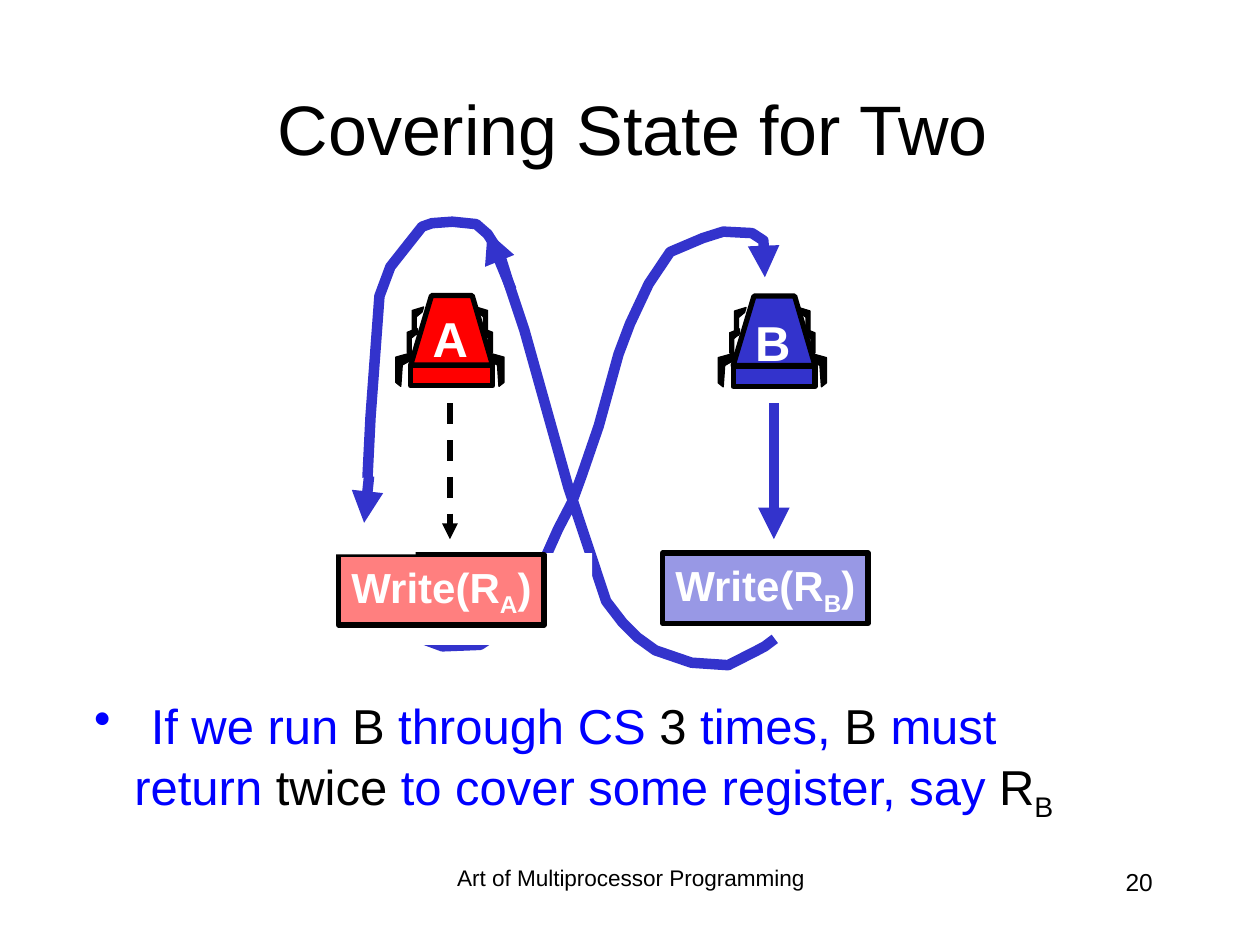
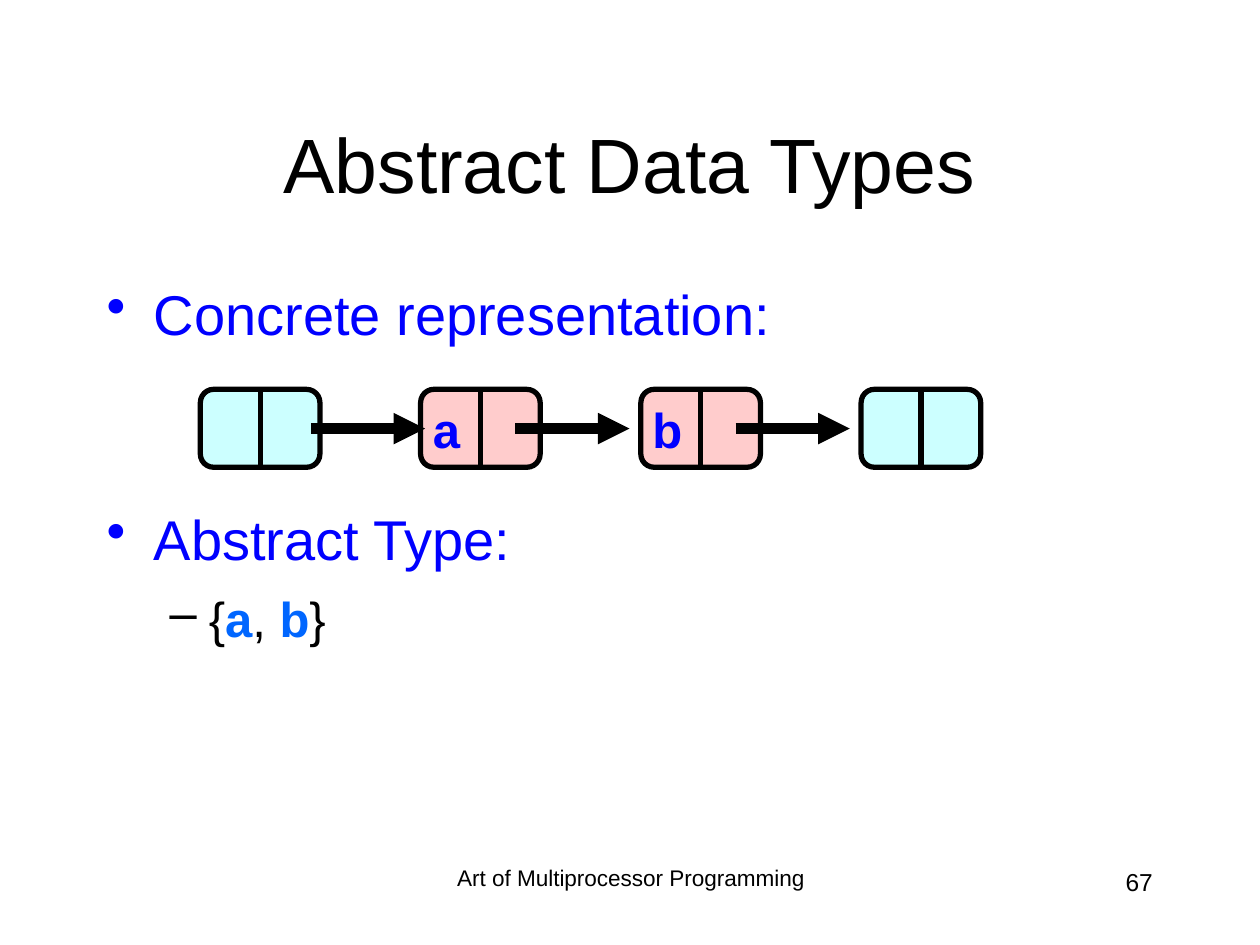
from lxml import etree
from pptx import Presentation
from pptx.dml.color import RGBColor
from pptx.enum.dml import MSO_LINE
from pptx.enum.shapes import MSO_CONNECTOR, MSO_SHAPE
from pptx.enum.text import MSO_ANCHOR, PP_ALIGN
from pptx.oxml.ns import qn
from pptx.util import Cm, Pt

RECT, ROUND_RECT = MSO_SHAPE.RECTANGLE, MSO_SHAPE.ROUNDED_RECTANGLE
STRAIGHT, DASH = MSO_CONNECTOR.STRAIGHT, MSO_LINE.DASH
LEFT, CENTER, RIGHT = PP_ALIGN.LEFT, PP_ALIGN.CENTER, PP_ALIGN.RIGHT
TOP, MIDDLE = MSO_ANCHOR.TOP, MSO_ANCHOR.MIDDLE
SIDE_TOP, SIDE_BOTTOM = 0, 2

FONT = "Arial"
COLORS = {
    "black": "000000", "white": "FFFFFF", "text": "0000FF", "accent": "0066FF",
    "blue": "3333CC", "red": "FF0000", "sentinel": "CCFFFF", "item": "FFCCCC",
}
SUBSCRIPT = {"baseline": "-25000"}
BOLD = {"b": "1"}

# Route of thread B through the critical section, in centimetres
ROUTE = [
    (15.62, 12.88), (15.42, 13.03), (15.27, 13.11), (14.68, 13.41), (13.94, 13.36),
    (13.21, 13.11), (12.85, 12.85), (12.55, 12.55), (12.22, 12.12), (11.46, 9.83),
    (10.57, 6.65), (10.26, 5.72), (10.06, 5.08), (9.83, 4.72), (9.6, 4.52),
    (9.12, 4.47), (8.71, 4.5), (8.51, 4.57), (8.13, 5.05), (7.87, 5.38),
    (7.65, 5.97), (7.47, 8.41), (7.37, 10.41), (7.39, 11.79), (7.62, 12.55),
    (8.92, 13.03), (9.68, 13), (10.13, 12.7), (10.74, 11.76), (10.87, 11.46),
    (11, 11.23), (11.25, 10.67), (11.53, 10.13), (11.73, 9.58), (12.07, 8.59),
    (12.47, 7.14), (12.7, 6.53), (13.08, 5.72), (13.51, 5.08), (14.17, 4.8),
    (14.58, 4.67), (15.16, 4.7), (15.39, 4.85), (15.42, 5.59),
]

# Thread figure, relative to the top left corner of its body
LOWER_LEG = [(1.52, 1.14), (1.88, 1.24), (1.88, 1.75), (1.78, 1.83), (1.75, 1.4), (1.52, 1.27)]
MIDDLE_LEG = [(1.45, 0.66), (1.65, 0.74), (1.65, 1.14), (1.57, 1.22), (1.57, 0.86), (1.45, 0.76)]
UPPER_LEG = [(1.32, 0.23), (1.55, 0.3), (1.55, 0.71), (1.47, 0.79), (1.47, 0.43), (1.35, 0.33)]
BODY = [(0, 1.4), (0.42, 0), (1.24, 0), (1.65, 1.4)]
LEG_SPAN = 1.58


def rgb(color):
    return RGBColor.from_string(COLORS[color])


class Deck:
    def __init__(self):
        self.prs = Presentation()
        self.prs.slide_width, self.prs.slide_height = Cm(25.4), Cm(19.05)
        self.shapes = None

    def new_slide(self, title, number, title_box, title_size):
        self.slide = self.prs.slides.add_slide(self.prs.slide_layouts[6])
        self.ungroup()
        footer = self.text((8.69, 17.35, 8.05, 1.27), CENTER)
        self.paragraph(footer, "Art of Multiprocessor Programming", 12.9).line_spacing = 0.9
        page = self.text((18.21, 17.35, 5.28, 1.27), RIGHT)
        self.paragraph(page, str(number), 14)
        heading = self.text(title_box, CENTER, MIDDLE)
        self.paragraph(heading, title, title_size)

    def group(self):
        """Put the elements that follow into a new group."""
        self.shapes = self.slide.shapes.add_group_shape().shapes

    def ungroup(self):
        self.shapes = self.slide.shapes

    def text(self, box, align=LEFT, anchor=TOP, wrap=True):
        frame = self.shapes.add_textbox(*map(Cm, box)).text_frame
        frame.word_wrap = wrap
        frame.vertical_anchor = anchor
        frame.paragraphs[0].alignment = align
        return frame

    def paragraph(self, frame, content, size, color="black", bold=False,
                  bullet=None, margin=0, indent=0, before=0):
        """Fill the next paragraph; content is a string or (text, color, run attributes) parts."""
        para = frame.paragraphs[0]
        if para.runs:
            para = frame.add_paragraph()
        p_pr = para._p.get_or_add_pPr()
        p_pr.set("marL", str(Cm(margin)))
        p_pr.set("indent", str(Cm(indent)))
        if bullet:
            bullet_color = etree.SubElement(p_pr, qn("a:buClr"))
            etree.SubElement(bullet_color, qn("a:srgbClr"), val=COLORS[color])
            etree.SubElement(p_pr, qn("a:buChar"), char=bullet)
        para.space_before = Pt(before)
        para.font.name, para.font.size, para.font.bold = FONT, Pt(size), bold
        para.font.color.rgb = rgb(color)
        parts = [(content, color, {})] if isinstance(content, str) else content
        for words, part_color, attributes in parts:
            run = para.add_run()
            run.text = words
            if part_color != color:
                run.font.color.rgb = rgb(part_color)
            for key, value in attributes.items():
                run._r.get_or_add_rPr().set(key, value)
        return para

    def label(self, box, letter, color):
        frame = self.text(box, CENTER, wrap=False)
        self.paragraph(frame, letter, 28, color, bold=True)

    def paint(self, shape, fill=None, line=None, width=3):
        shape.shadow.inherit = False
        if fill:
            shape.fill.solid()
            shape.fill.fore_color.rgb = rgb(fill)
        else:
            shape.fill.background()
        if line:
            shape.line.color.rgb = rgb(line)
            shape.line.width = Pt(width)
        else:
            shape.line.fill.background()
        return shape

    def box(self, box, fill, line=None, kind=RECT):
        return self.paint(self.shapes.add_shape(kind, *map(Cm, box)), fill, line)

    def outline(self, points, fill=None, line="black", width=3, origin=(0, 0)):
        spots = [(Cm(origin[0] + x), Cm(origin[1] + y)) for x, y in points]
        builder = self.shapes.build_freeform(*spots[0], scale=1.0)
        builder.add_line_segments(spots[1:], close=fill is not None)
        return self.paint(builder.convert_to_shape(), fill, line, width)

    def arrowhead(self, shape):
        etree.SubElement(shape.line._get_or_add_ln(), qn("a:tailEnd"), type="triangle")

    def line(self, ends, color="black", width=3, arrow=False, dash=None):
        link = self.shapes.add_connector(STRAIGHT, *map(Cm, ends))
        link.line.color.rgb = rgb(color)
        link.line.width = Pt(width)
        if dash:
            link.line.dash_style = dash
        if arrow:
            self.arrowhead(link)
        etree.SubElement(link._element.spPr, qn("a:effectLst"))
        return link

    def register_write(self, left, top, thread, color):
        """Half transparent box with the write to a thread's register."""
        shape = self.box((left, top, 4.14, 1.42), color, "black")
        tint = shape._element.spPr.find(qn("a:solidFill"))[0]
        etree.SubElement(tint, qn("a:alpha"), val="50000")
        frame = shape.text_frame
        frame.word_wrap = False
        parts = [("Write(R", "white", {}), (thread, "white", SUBSCRIPT), (")", "white", {})]
        self.paragraph(frame, parts, 24, "white", bold=True).alignment = CENTER

    def leg_pair(self, leg, origin):
        mirrored = [(LEG_SPAN - x, y) for x, y in leg]
        for side in (leg, mirrored):
            self.outline(side, "black", width=0.75, origin=origin)

    def thread(self, left, top, letter, color, letter_drop):
        origin = (left, top)
        self.group()
        self.leg_pair(LOWER_LEG, origin)
        self.leg_pair(MIDDLE_LEG, origin)
        self.outline(BODY, color, origin=origin)
        self.box((left, top + 1.41, 1.65, 0.41), color, "black")
        self.leg_pair(UPPER_LEG, origin)
        self.label((left + 0.19, top + letter_drop, 1.22, 1.45), letter, "white")
        self.ungroup()

    def list_node(self, left, fill, letter):
        top, width, height = 7.85, 2.41, 1.57
        node = self.box((left, top, width, height), fill, "black", ROUND_RECT)
        node.adjustments[0] = 0.17
        middle = left + width / 2
        divider = self.line((middle, top, middle, top + height))
        divider.begin_connect(node, SIDE_TOP)
        divider.end_connect(node, SIDE_BOTTOM)
        if letter:
            self.label((left - 0.02, 7.92, 1.08, 1.45), letter, "text")


def covering_state(deck):
    deck.new_slide("Covering State for Two", 20, (1.96, 0.99, 21.59, 3.18), 40)
    deck.arrowhead(deck.outline(ROUTE, line="blue", width=6))

    claim = deck.text((1.65, 13.89, 21.5, 3))
    first_line = [
        ("If we run ", "text", {}), ("B", "black", {}), (" through CS ", "text", {}),
        ("3", "black", {}), (" times, ", "text", {}), ("B", "black", {}), (" must", "text", {}),
    ]
    second_line = [
        ("return ", "text", {}), ("twice", "black", {}),
        (" to cover some register, say ", "text", {}),
        ("R", "black", {}), ("B", "black", SUBSCRIPT),
    ]
    deck.paragraph(claim, first_line, 28, "text", bullet="•", margin=1.14, indent=-1.14)
    deck.paragraph(claim, second_line, 28, "text", margin=0.81, before=1.5)

    deck.box((7.19, 11.15, 4.75, 1.85), "white")
    deck.line((10.31, 5.84, 9.83, 4.67), "blue", 6, arrow=True)
    deck.register_write(13.36, 11.15, "B", "blue")
    deck.thread(14.78, 5.97, "B", "blue", 0.2)
    deck.register_write(6.83, 11.18, "A", "red")
    deck.line((9.07, 8.13, 9.07, 10.87), arrow=True, dash=DASH)
    deck.thread(8.28, 5.96, "A", "red", 0.13)
    deck.line((15.6, 8.13, 15.6, 10.87), "blue", 6, arrow=True)
    deck.box((6.3, 9.63, 2.08, 1.55), "white")
    deck.line((7.44, 9.6, 7.34, 10.54), "blue", 6, arrow=True)


def abstract_data_types(deck):
    deck.new_slide("Abstract Data Types", 67, (1.9, 1.7, 21.59, 3.18), 44)
    body = deck.text((1.9, 5.51, 21.59, 11.43))
    topic = {"bullet": "•", "margin": 0.95, "indent": -0.95}
    deck.paragraph(body, "Concrete representation:", 32, "text", before=8, **topic)
    deck.paragraph(body, "Abstract Type:", 32, "text", before=90, **topic)
    members = [
        ("{", "black", {}), ("a", "accent", BOLD), (", ", "black", {}),
        ("b", "accent", BOLD), ("}", "black", {}),
    ]
    deck.paragraph(body, members, 28, bullet="–", margin=2.06, indent=-0.79, before=10)

    deck.group()
    nodes = [("sentinel", ""), ("item", "a"), ("item", "b"), ("sentinel", "")]
    for index, (fill, letter) in enumerate(nodes):
        deck.list_node(4.04 + 4.44 * index, fill, letter)
    for start in (10.39, 14.83, 6.27):
        deck.line((start, 8.64, start + 2.3, 8.64), width=6, arrow=True)
    deck.ungroup()


def main():
    deck = Deck()
    covering_state(deck)
    abstract_data_types(deck)
    deck.prs.save("out.pptx")


if __name__ == "__main__":
    main()
